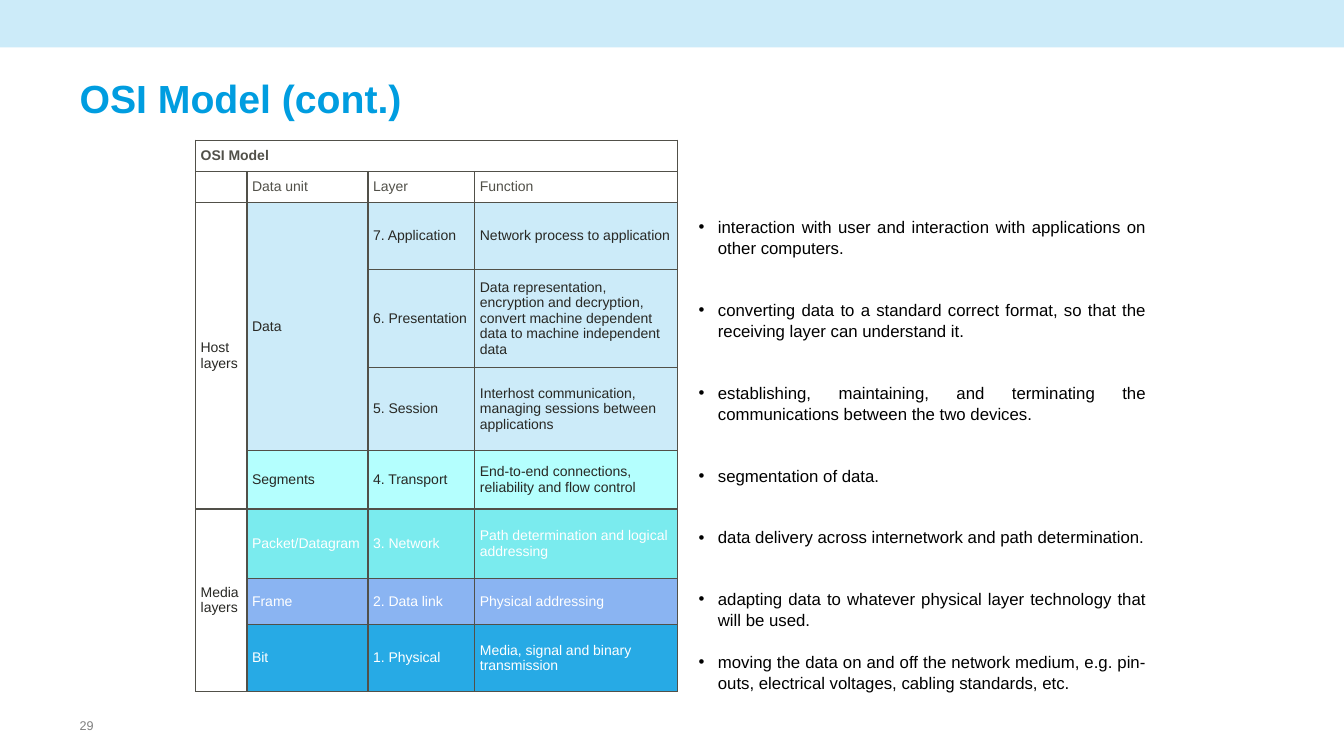
from dataclasses import dataclass

from lxml import etree
from pptx import Presentation
from pptx.dml.color import RGBColor
from pptx.enum.shapes import MSO_SHAPE
from pptx.enum.text import MSO_ANCHOR, MSO_AUTO_SIZE, PP_ALIGN
from pptx.oxml.ns import qn
from pptx.util import Inches, Pt

RECTANGLE = MSO_SHAPE.RECTANGLE
MIDDLE, TOP = MSO_ANCHOR.MIDDLE, MSO_ANCHOR.TOP
LEFT, JUSTIFY = PP_ALIGN.LEFT, PP_ALIGN.JUSTIFY
NO_FIT = MSO_AUTO_SIZE.NONE


@dataclass(frozen=True)
class Theme:
    font: str = "Arial"
    title: str = "009DE0"
    band: str = "CCEBF9"
    heading: str = "515049"
    ink: str = "282824"
    black: str = "000000"
    white: str = "FFFFFF"
    grey: str = "808080"
    segments: str = "B4FFFE"
    packet: str = "7AEBEE"
    frame: str = "8AB4F2"
    bit: str = "27AAE5"
    title_size: int = 28
    list_size: int = 12
    table_size: int = 10
    number_size: int = 9


THEME = Theme()

COLUMN_WIDTHS = [0.51, 1.2, 1.06, 2.01]
ROW_HEIGHTS = [0.31, 0.31, 0.66, 0.98, 0.82, 0.58, 0.69, 0.46, 0.66]
TABLE_TEXT = [
    ["OSI Model", "", "", ""],
    ["", "Data unit", "Layer", "Function"],
    ["Host\vlayers", "Data", "7. Application", "Network process to application"],
    ["", "", "6. Presentation", "Data representation, encryption and decryption, "
     "convert machine dependent data to machine independent data"],
    ["", "", "5. Session", "Interhost communication, managing sessions between applications"],
    ["", "Segments", "4. Transport", "End-to-end connections, reliability and flow control"],
    ["Media\vlayers", "Packet/Datagram", "3. Network",
     "Path determination and logical addressing"],
    ["", "Frame", "2. Data link", "Physical addressing"],
    ["", "Bit", "1. Physical", "Media, signal and binary transmission"],
]
ROW_FILLS = [None, None, THEME.band, THEME.band, THEME.band,
             THEME.segments, THEME.packet, THEME.frame, THEME.bit]
FIRST_LAYER_ROW, FIRST_MEDIA_ROW = 2, 6
# First and last cell of each merged area, as (row, column)
MERGES = [((0, 0), (0, 3)), ((2, 0), (5, 0)), ((2, 1), (4, 1)), ((6, 0), (8, 0))]

# Each layer's duty, with the space before it in points
DUTIES = [
    ("interaction with user and interaction with applications on other computers.", 0),
    ("converting data to a standard correct format, so that the receiving layer "
     "can understand it.", 29),
    ("establishing, maintaining, and terminating the communications between "
     "the two devices.", 29),
    ("segmentation of data.", 29),
    ("data delivery across internetwork and path determination.", 29),
    ("adapting data to whatever physical layer technology that will be used.", 29),
    ("moving the data on and off the network medium, e.g. pin-outs, electrical "
     "voltages, cabling standards, etc.", 14.5),
]


def set_values(target, values):
    for name, value in values.items():
        setattr(target, name, value)


def place(shape, box):
    names = ("left", "top", "width", "height")
    set_values(shape, {name: Inches(length) for name, length in zip(names, box)})


def set_frame(frame, margins, anchor, wrap=True):
    names = ("margin_left", "margin_top", "margin_right", "margin_bottom")
    set_values(frame, {name: Inches(size) for name, size in zip(names, margins)})
    set_values(frame, {"vertical_anchor": anchor, "word_wrap": wrap, "auto_size": NO_FIT})


def write(para, text, size, color, bold=False):
    para.text = text
    for span in para.runs:
        set_values(span.font, {"name": THEME.font, "size": Pt(size), "bold": bold})
        span.font.color.rgb = RGBColor.from_string(color)


def add_band(page, box):
    band = page.shapes.add_shape(RECTANGLE, *map(Inches, box))
    band.shadow.inherit = False
    band.fill.solid()
    band.fill.fore_color.rgb = RGBColor.from_string(THEME.band)
    band.line.fill.background()


def add_title(page, box):
    title = page.shapes.title
    place(title, box)
    set_frame(title.text_frame, (0, 0, 0, 0), MIDDLE)
    para = title.text_frame.paragraphs[0]
    write(para, "OSI Model (cont.)", THEME.title_size, THEME.title, True)
    set_values(para, {"alignment": LEFT, "line_spacing": 0.85})


def add_page_number(page, box):
    number = page.shapes.add_textbox(*map(Inches, box))
    set_frame(number.text_frame, (0, 0, 0, 0), TOP, False)
    write(number.text_frame.paragraphs[0], "29", THEME.number_size, THEME.grey)


def add_borders(cell):
    properties = cell._tc.get_or_add_tcPr()
    for index, side in enumerate(("a:lnL", "a:lnR", "a:lnT", "a:lnB")):
        line = etree.Element(qn(side), w=str(Pt(1)))
        fill = etree.SubElement(line, qn("a:solidFill"))
        etree.SubElement(fill, qn("a:srgbClr"), val=THEME.heading)
        properties.insert(index, line)


def text_color(row, column):
    if row < FIRST_LAYER_ROW:
        return THEME.heading
    return THEME.white if row >= FIRST_MEDIA_ROW and column else THEME.ink


def fill_cell(cell, row, column):
    set_values(cell, {"vertical_anchor": MIDDLE,
                      "margin_left": Inches(0.05), "margin_right": Inches(0.05),
                      "margin_top": Inches(0.02), "margin_bottom": Inches(0.02)})
    para = cell.text_frame.paragraphs[0]
    write(para, TABLE_TEXT[row][column], THEME.table_size, text_color(row, column), row == 0)
    # Keeps empty cells from stretching their row
    etree.SubElement(para._p, qn("a:endParaRPr"), sz=str(THEME.table_size * 100))
    if ROW_FILLS[row] and column:
        cell.fill.solid()
        cell.fill.fore_color.rgb = RGBColor.from_string(ROW_FILLS[row])
    else:
        cell.fill.background()
    add_borders(cell)


def add_layer_table(page, box):
    holder = page.shapes.add_table(len(ROW_HEIGHTS), len(COLUMN_WIDTHS), *map(Inches, box))
    table = holder.table
    set_values(table, {"first_row": False, "horz_banding": False})
    for column, width in zip(table.columns, COLUMN_WIDTHS):
        column.width = Inches(width)
    for row, height in zip(table.rows, ROW_HEIGHTS):
        row.height = Inches(height)
    for row in range(len(ROW_HEIGHTS)):
        for column in range(len(COLUMN_WIDTHS)):
            fill_cell(table.cell(row, column), row, column)
    for first, last in MERGES:
        table.cell(*first).merge(table.cell(*last))


def add_duty_list(page, box):
    body = page.placeholders[1]
    place(body, box)
    frame = body.text_frame
    set_frame(frame, (0.1, 0.05, 0.1, 0.05), TOP)
    for index, (text, space) in enumerate(DUTIES):
        para = frame.add_paragraph() if index else frame.paragraphs[0]
        write(para, text, THEME.list_size, THEME.black)
        set_values(para, {"alignment": JUSTIFY, "line_spacing": 1.05,
                          "space_before": Pt(space), "space_after": Pt(0)})
        properties = para._p.get_or_add_pPr()
        properties.set("marL", str(Inches(0.19)))
        properties.set("indent", str(Inches(-0.19)))
        etree.SubElement(properties, qn("a:buFont"), typeface=THEME.font)
        etree.SubElement(properties, qn("a:buChar"), char="•")


def build_osi_page(deck):
    page = deck.slides.add_slide(deck.slide_layouts[1])
    add_band(page, (0, 0, 13.33, 0.47))
    add_title(page, (0.79, 0.59, 11.81, 0.83))
    add_layer_table(page, (1.94, 1.39, 4.78, 5.47))
    add_duty_list(page, (6.83, 2.09, 4.64, 4.95))
    add_page_number(page, (0.79, 7.12, 0.15, 0.15))


def main():
    deck = Presentation()
    set_values(deck, {"slide_width": Inches(13.33), "slide_height": Inches(7.5)})
    build_osi_page(deck)
    deck.save("out.pptx")


if __name__ == "__main__":
    main()
